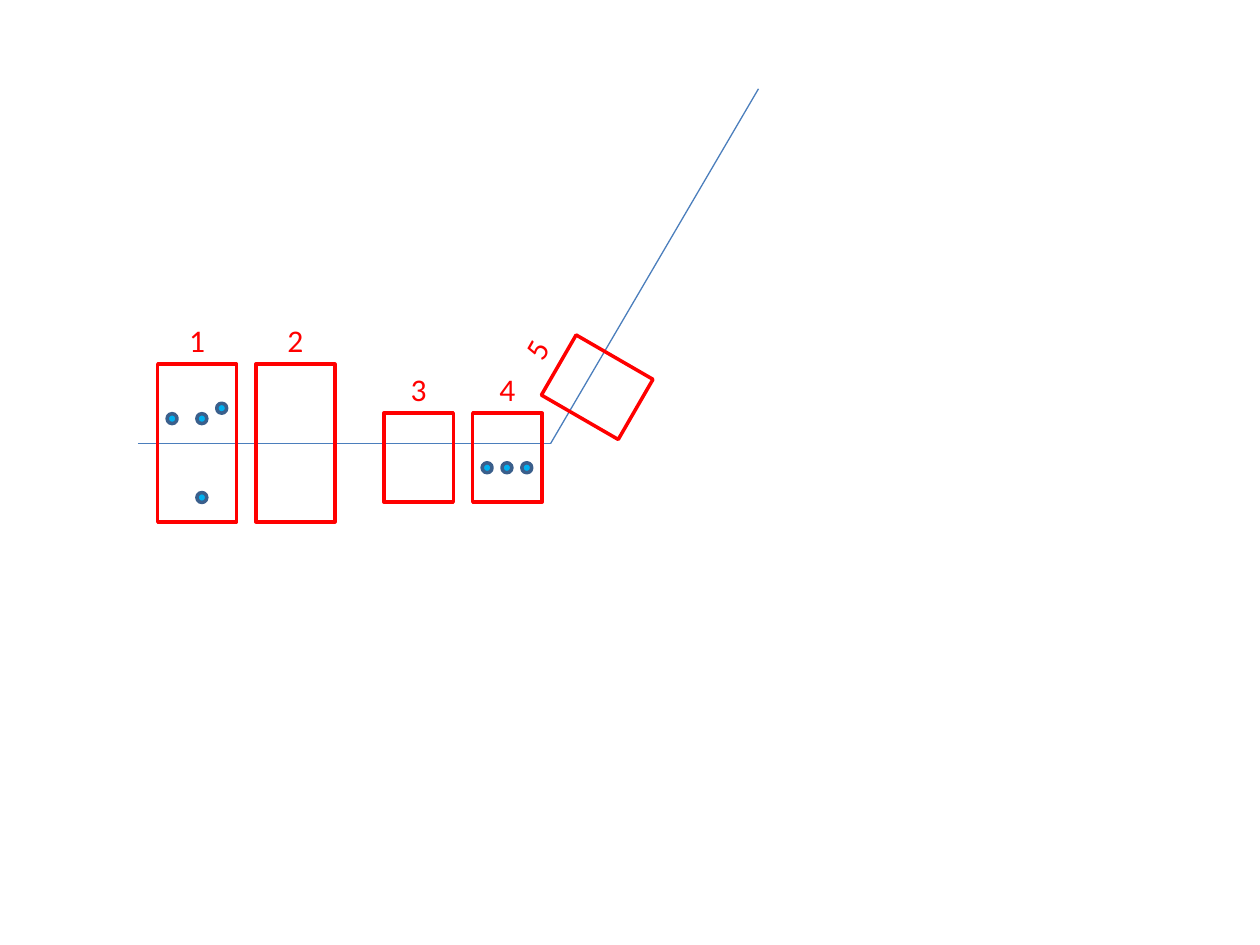
from dataclasses import dataclass

import pptx
import pptx.dml.color
import pptx.enum.shapes
import pptx.enum.text
import pptx.oxml
import pptx.oxml.ns
import pptx.util

Cm = pptx.util.Cm
Pt = pptx.util.Pt
Shapes = pptx.enum.shapes.MSO_SHAPE


def color(code):
    return pptx.dml.color.RGBColor.from_string(code)


@dataclass(frozen=True)
class Theme:
    font: str = "Calibri"
    label_size: float = 18
    red: str = "FF0000"
    axis: str = "4B7EBC"
    dot_fill: str = "00B0F0"
    dot_edge: str = "3A5F8C"
    axis_width: float = 0.75
    edge_width: float = 2


class Sketch:
    """Draws on one page in one style; all lengths are centimetres."""

    def __init__(self, page, theme):
        self.page = page
        self.theme = theme

    def axis(self, start, end):
        ends = [Cm(value) for value in (*start, *end)]
        line = self.page.shapes.add_connector(
            pptx.enum.shapes.MSO_CONNECTOR.STRAIGHT, *ends)
        line.line.color.rgb = color(self.theme.axis)
        line.line.width = Pt(self.theme.axis_width)
        properties = line._element.spPr
        properties.append(pptx.oxml.parse_xml(
            f"<a:effectLst {pptx.oxml.ns.nsdecls('a')}/>"))

    def outline(self, kind, left, top, width, height, edge):
        shape = self.page.shapes.add_shape(
            kind, Cm(left), Cm(top), Cm(width), Cm(height))
        shape.shadow.inherit = False
        shape.fill.background()
        shape.line.color.rgb = color(edge)
        shape.line.width = Pt(self.theme.edge_width)
        return shape

    def dot(self, left, top):
        shape = self.outline(Shapes.OVAL, left, top, 0.2, 0.2, self.theme.dot_edge)
        shape.fill.solid()
        shape.fill.fore_color.rgb = color(self.theme.dot_fill)

    def frame(self, left, top, width, height, angle=0):
        shape = self.outline(
            Shapes.RECTANGLE, left, top, width, height, self.theme.red)
        shape.rotation = angle

    def label(self, text, left, top, angle=0):
        box = self.page.shapes.add_textbox(Cm(left), Cm(top), Cm(1), Cm(1.02))
        box.rotation = angle
        frame = box.text_frame
        frame.word_wrap = True
        frame.auto_size = pptx.enum.text.MSO_AUTO_SIZE.SHAPE_TO_FIT_TEXT
        frame.text = text
        para = frame.paragraphs[0]
        para.alignment = pptx.enum.text.PP_ALIGN.CENTER
        font = para.runs[0].font
        font.name = self.theme.font
        font.size = Pt(self.theme.label_size)
        font.color.rgb = color(self.theme.red)


def main():
    deck = pptx.Presentation()
    deck.slide_width, deck.slide_height = Cm(25.4), Cm(19.05)
    sketch = Sketch(deck.slides.add_slide(deck.slide_layouts[6]), Theme())

    # Bent axis
    bend = (11.1, 8.94)
    sketch.axis((2.78, 8.94), bend)
    sketch.axis(bend, (15.29, 1.79))

    # Points in the first and fourth frames
    for left, top in [(3.37, 8.34), (3.97, 8.34), (3.97, 9.93), (4.37, 8.13)]:
        sketch.dot(left, top)
    for step in range(3):
        sketch.dot(9.72 + 0.4 * step, 9.33)

    # Upright frames, each with its number centred above
    tall, short = (1.59, 3.18), (1.4, 1.79)
    upright = [
        ("1", 3.18, 7.34, tall),
        ("2", 5.16, 7.34, tall),
        ("3", 7.74, 8.33, short),
        ("4", 9.53, 8.33, short),
    ]
    for number, left, top, (width, height) in upright:
        sketch.frame(left, top, width, height)
        sketch.label(number, left + (width - 1) / 2, top - 0.99)

    # Frame turned along the rising axis
    sketch.frame(11.34, 6.91, *short, angle=300)
    sketch.label("5", 10.31, 6.53, angle=300)

    deck.save("out.pptx")


if __name__ == "__main__":
    main()
